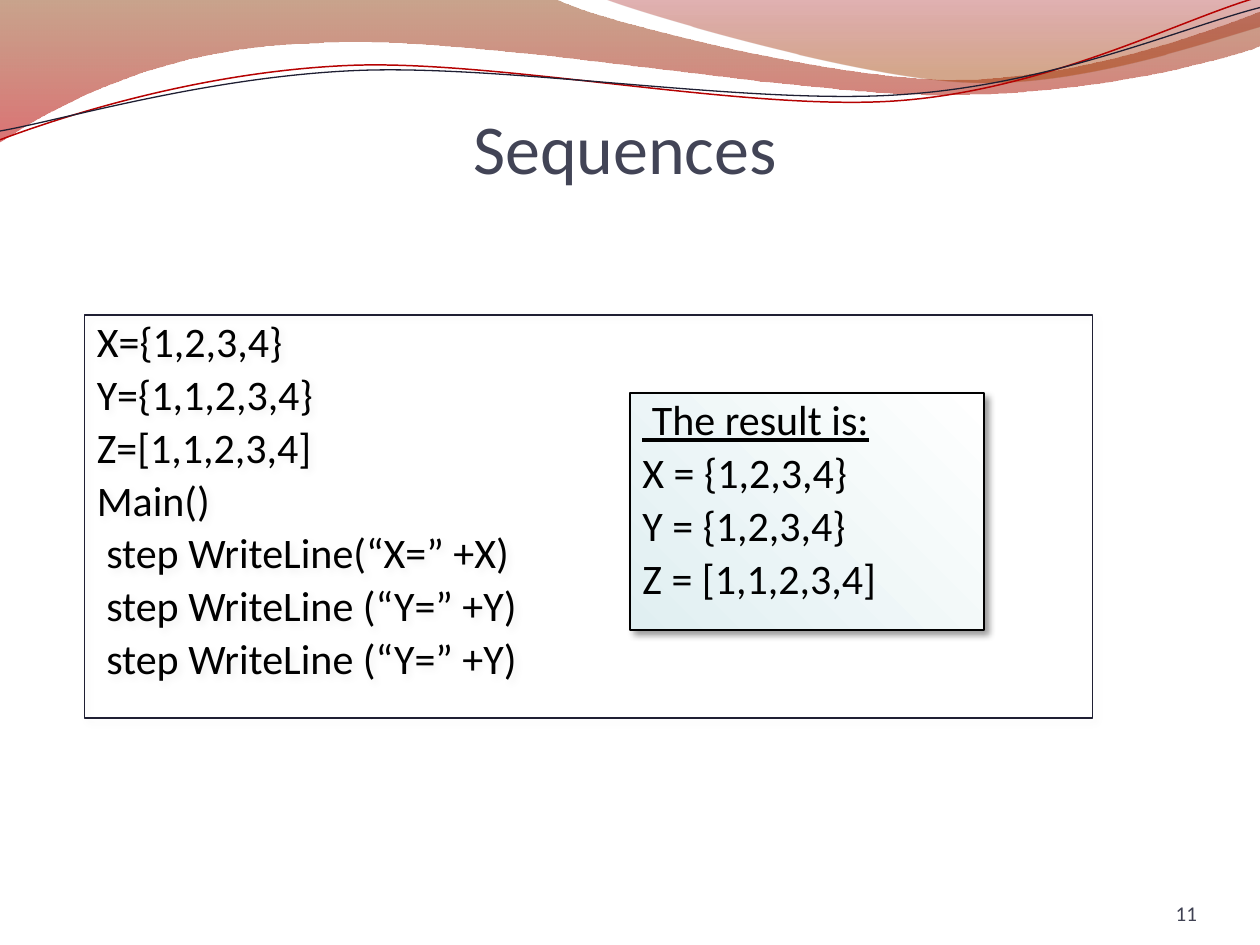
from lxml import etree
from pptx import Presentation
from pptx.dml.color import RGBColor
from pptx.enum.shapes import MSO_SHAPE
from pptx.enum.text import MSO_ANCHOR, PP_ALIGN
from pptx.oxml import parse_xml
from pptx.oxml.ns import nsdecls, qn
from pptx.util import Inches, Pt

RECTANGLE = MSO_SHAPE.RECTANGLE
TOP, BOTTOM = MSO_ANCHOR.TOP, MSO_ANCHOR.BOTTOM
LEFT, CENTER, RIGHT = PP_ALIGN.LEFT, PP_ALIGN.CENTER, PP_ALIGN.RIGHT


def color(value):
    return RGBColor.from_string(value)


def set_gradient(shape, stops, angle):
    stop_xml = "".join(
        f'<a:gs pos="{position * 1000}"><a:srgbClr val="{value}">'
        f'<a:alpha val="{alpha * 1000}"/></a:srgbClr></a:gs>'
        for position, value, alpha in stops)
    shape.fill.background()
    no_fill = shape._element.spPr.find(qn("a:noFill"))
    no_fill.getparent().replace(no_fill, parse_xml(
        f'<a:gradFill {nsdecls("a")} rotWithShape="1"><a:gsLst>{stop_xml}</a:gsLst>'
        f'<a:lin ang="{angle * 60000}" scaled="0"/></a:gradFill>'))


presentation = Presentation()
presentation.slide_width = Inches(10)
presentation.slide_height = Inches(7.5)
slide = presentation.slides.add_slide(presentation.slide_layouts[6])

# L adds one point, C adds two control points and an end point
waves = [
    {"start": (0, 0),
     "segments": [[(4.4, -0.01)],
                  [(4.76, 0.17), (6.64, 0.63), (7.58, 0.63)],
                  [(8.53, 0.63), (9.58, 0.26), (10, 0.09)],
                  [(10.01, 0.36)],
                  [(9.83, 0.44), (8.7, 0.76), (7.46, 0.75)],
                  [(6.22, 0.75), (3.82, 0.28), (2.57, 0.34)],
                  [(1.29, 0.36), (0.46, 0.83), (-0.01, 1.13)],
                  [(0, 0)]],
     "gradient": [(0, "883400", 45), (100, "BD0000", 55)]},
    {"start": (4.79, -0.01),
     "segments": [[(5.09, 0.11), (6.82, 0.62), (7.69, 0.65)],
                  [(8.56, 0.69), (9.61, 0.32), (10, 0.21)],
                  [(10, 0)],
                  [(4.79, -0.01)]],
     "gradient": [(0, "9A0000", 30), (80, "A23E00", 45)]},
    {"start": (0, 1.11),
     "segments": [[(0.48, 0.93), (1.58, 0.57), (2.77, 0.52)],
                  [(3.95, 0.47), (5.93, 0.89), (7.13, 0.8)],
                  [(8.33, 0.71), (9.38, 0.15), (9.98, -0.02)]],
     "line": ("B60202", 0.85)},
    {"start": (0, 1.04),
     "segments": [[(0.47, 0.96), (1.64, 0.61), (2.83, 0.56)],
                  [(4.03, 0.51), (5.97, 0.84), (7.17, 0.75)],
                  [(8.36, 0.67), (9.41, 0.21), (10, 0.06)]],
     "line": ("1F1F33", 0.75)},
]
for wave in waves:
    points = [point for segment in wave["segments"] for point in segment]
    builder = slide.shapes.build_freeform(*wave["start"], scale=Inches(1) / 1)
    builder = slide.shapes.build_freeform(
        *[Inches(value) for value in wave["start"]])
    builder.add_line_segments(
        [(Inches(x), Inches(y)) for x, y in points], close="gradient" in wave)
    shape = builder.convert_to_shape()
    shape.shadow.inherit = False
    steps = iter(shape._element.findall(".//" + qn("a:lnTo")))
    for segment in wave["segments"]:
        group = [next(steps) for point in segment]
        if len(group) == 3:
            curve = etree.Element(qn("a:cubicBezTo"))
            group[0].addprevious(curve)
            for step in group:
                curve.append(step[0])
                step.getparent().remove(step)
    if "gradient" in wave:
        set_gradient(shape, wave["gradient"], 90)
        shape.line.fill.background()
    else:
        line_color, width = wave["line"]
        shape.fill.background()
        shape.line.color.rgb = color(line_color)
        shape.line.width = Pt(width)

labels = [
    ("11", (8.67, 6.95, 0.83, 0.4), 0, 12, "3F4152", RIGHT),
    ("Sequences", (0.46, 0.47, 9, 1.03), 0.05, 40, "424456", CENTER),
]
for text, place, top_margin, size, text_color, alignment in labels:
    label = slide.shapes.add_textbox(*[Inches(value) for value in place])
    frame = label.text_frame
    frame.word_wrap = True
    frame.vertical_anchor = BOTTOM
    frame.margin_left = frame.margin_right = frame.margin_bottom = 0
    frame.margin_top = Inches(top_margin)
    frame.text = text
    paragraph = frame.paragraphs[0]
    paragraph.alignment = alignment
    font = paragraph.runs[0].font
    font.name, font.size = "Calibri", Pt(size)
    font.color.rgb = color(text_color)

code_lines = ["X={1,2,3,4}", "Y={1,1,2,3,4}", "Z=[1,1,2,3,4]", "Main()",
              " step WriteLine(“X=” +X)", " step WriteLine (“Y=” +Y)",
              " step WriteLine (“Y=” +Y)"]
result_lines = [" The result is:", "X = {1,2,3,4}", "Y = {1,2,3,4}",
                "Z = [1,1,2,3,4]"]
boxes = [
    (code_lines, (0.67, 2.5, 8, 3.2), None, "1F1F33", 5),
    (result_lines, (5, 3.12, 2.81, 1.88),
     [(0, "E0EFF1", 100), (100, "FFFFFF", 100)], "000000", 40),
]
for lines, place, gradient, line_color, shadow_alpha in boxes:
    box = slide.shapes.add_shape(RECTANGLE, *[Inches(value) for value in place])
    if gradient:
        set_gradient(box, gradient, 315)
    else:
        box.fill.background()
    box.line.color.rgb = color(line_color)
    box.line.width = Pt(0.75)
    box.shadow.inherit = False
    box._element.spPr.find(qn("a:effectLst")).append(parse_xml(
        f'<a:outerShdw {nsdecls("a")} blurRad="{Pt(4)}" dist="{Pt(3)}" '
        f'dir="2700000" algn="tl" rotWithShape="0"><a:srgbClr val="000000">'
        f'<a:alpha val="{shadow_alpha * 1000}"/></a:srgbClr></a:outerShdw>'))
    frame = box.text_frame
    frame.word_wrap = True
    frame.vertical_anchor = TOP
    frame.text = "\n".join(lines)
    for paragraph in frame.paragraphs:
        paragraph.alignment = LEFT
        paragraph.line_spacing = 0.9
        paragraph.space_before = Pt(4.3)
        properties = paragraph._p.get_or_add_pPr()
        properties.set("marL", str(Inches(0.38)))
        properties.set("indent", str(-Inches(0.38)))
        font = paragraph.runs[0].font
        font.name, font.size = "Calibri", Pt(24)
        font.color.rgb = color("000000")
        font.underline = paragraph.text == result_lines[0]

presentation.save("out.pptx")
